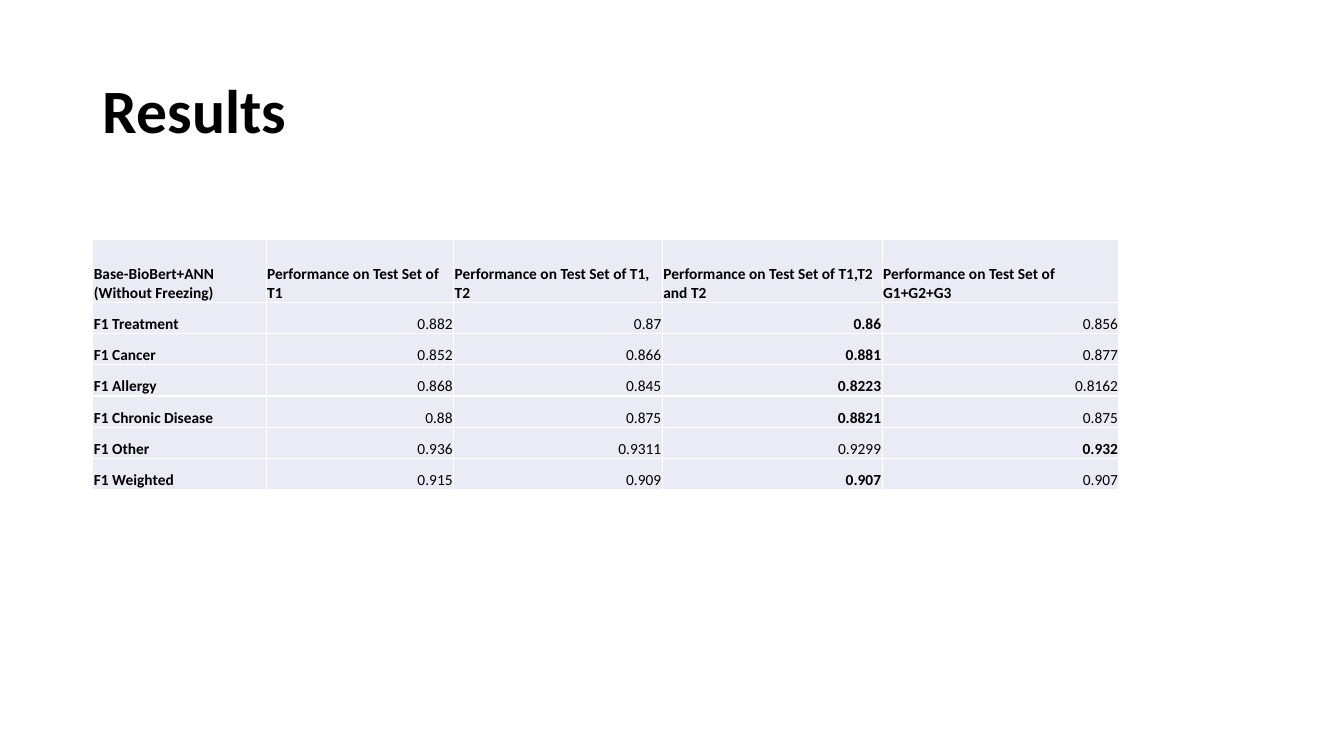
"""Build the results slide with its table of F1 scores."""
from dataclasses import dataclass

from lxml.etree import SubElement
from pptx import Presentation
from pptx.dml.color import RGBColor
from pptx.enum.text import MSO_ANCHOR, PP_ALIGN
from pptx.oxml.ns import qn
from pptx.slide import Slide
from pptx.table import _Cell
from pptx.text.text import _Paragraph
from pptx.util import Inches, Pt


@dataclass(frozen=True)
class Theme:
    font: str = "Calibri"
    ink: RGBColor = RGBColor(0, 0, 0)
    cell: RGBColor = RGBColor(0xE9, 0xEB, 0xF5)
    rule: RGBColor = RGBColor(0xFF, 0xFF, 0xFF)
    rule_width: Pt = Pt(1)
    title_size: Pt = Pt(44)
    table_size: Pt = Pt(11)


@dataclass(frozen=True)
class Score:
    label: str
    values: tuple[str, ...]
    best: int


THEME = Theme()
HEADINGS = (
    "Base-BioBert+ANN (Without Freezing)",
    "Performance on Test Set of T1",
    "Performance on Test Set of T1, T2",
    "Performance on Test Set of T1,T2 and T2",
    "Performance on Test Set of G1+G2+G3",
)
SCORES = (
    Score("F1 Treatment", ("0.882", "0.87", "0.86", "0.856"), 2),
    Score("F1 Cancer", ("0.852", "0.866", "0.881", "0.877"), 2),
    Score("F1 Allergy", ("0.868", "0.845", "0.8223", "0.8162"), 2),
    Score("F1 Chronic Disease", ("0.88", "0.875", "0.8821", "0.875"), 2),
    Score("F1 Other", ("0.936", "0.9311", "0.9299", "0.932"), 3),
    Score("F1 Weighted", ("0.915", "0.909", "0.907", "0.907"), 2),
)
COLUMN_WIDTHS = (1.72, 1.86, 2.07, 2.18, 2.35)
HEADING_HEIGHT = 0.62
SCORE_HEIGHT = 0.31


def style_text(paragraph: _Paragraph, size: Pt, bold: bool) -> None:
    font = paragraph.font
    font.name, font.size, font.bold = THEME.font, size, bold
    font.color.rgb = THEME.ink


def add_borders(cell: _Cell) -> None:
    properties = cell._tc.get_or_add_tcPr()
    for side in ("a:lnL", "a:lnR", "a:lnT", "a:lnB"):
        border = SubElement(properties, qn(side), w=str(THEME.rule_width))
        colour = SubElement(border, qn("a:solidFill"))
        SubElement(colour, qn("a:srgbClr"), val=str(THEME.rule))


def fill_cell(cell: _Cell, text: str, bold: bool, align: PP_ALIGN) -> None:
    cell.text = text
    cell.vertical_anchor = MSO_ANCHOR.BOTTOM
    cell.margin_left = cell.margin_right = cell.margin_top = Inches(0.01)
    cell.margin_bottom = Inches(0)
    add_borders(cell)
    cell.fill.solid()
    cell.fill.fore_color.rgb = THEME.cell
    paragraph = cell.text_frame.paragraphs[0]
    paragraph.alignment = align
    style_text(paragraph, THEME.table_size, bold)


def add_title(slide: Slide, text: str) -> None:
    title = slide.shapes.title
    title.left, title.top = Inches(0.92), Inches(0.4)
    title.width, title.height = Inches(11.5), Inches(1.45)
    title.text_frame.text = text
    title.text_frame.vertical_anchor = MSO_ANCHOR.MIDDLE
    paragraph = title.text_frame.paragraphs[0]
    paragraph.alignment = PP_ALIGN.LEFT
    paragraph.line_spacing = 0.9
    style_text(paragraph, THEME.title_size, True)


def add_scores(slide: Slide) -> None:
    row_heights = (HEADING_HEIGHT, *(SCORE_HEIGHT for _ in SCORES))
    table = slide.shapes.add_table(
        len(row_heights), len(COLUMN_WIDTHS), Inches(0.92), Inches(2.38),
        Inches(sum(COLUMN_WIDTHS)), Inches(sum(row_heights)),
    ).table
    table.first_row = table.horz_banding = False
    for column, width in zip(table.columns, COLUMN_WIDTHS):
        column.width = Inches(width)
    for row, height in zip(table.rows, row_heights):
        row.height = Inches(height)
    for column, heading in enumerate(HEADINGS):
        fill_cell(table.cell(0, column), heading, True, PP_ALIGN.LEFT)
    for row, score in enumerate(SCORES, start=1):
        fill_cell(table.cell(row, 0), score.label, True, PP_ALIGN.LEFT)
        for index, value in enumerate(score.values):
            fill_cell(table.cell(row, index + 1), value, index == score.best, PP_ALIGN.RIGHT)


def main() -> None:
    presentation = Presentation()
    presentation.slide_width, presentation.slide_height = Inches(13.33), Inches(7.5)
    slide = presentation.slides.add_slide(presentation.slide_layouts[5])
    add_title(slide, "Results")
    add_scores(slide)
    presentation.save("out.pptx")


if __name__ == "__main__":
    main()
